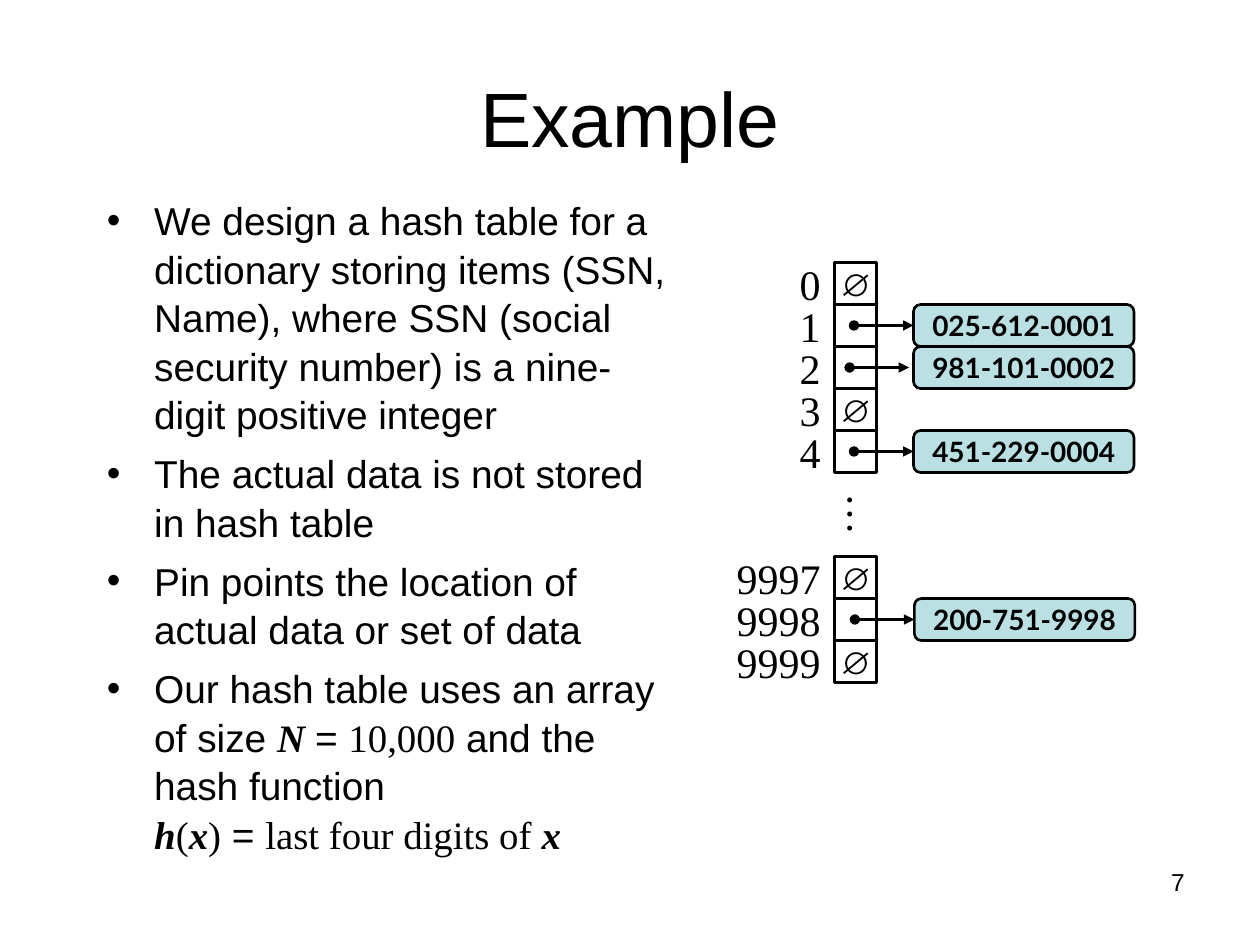
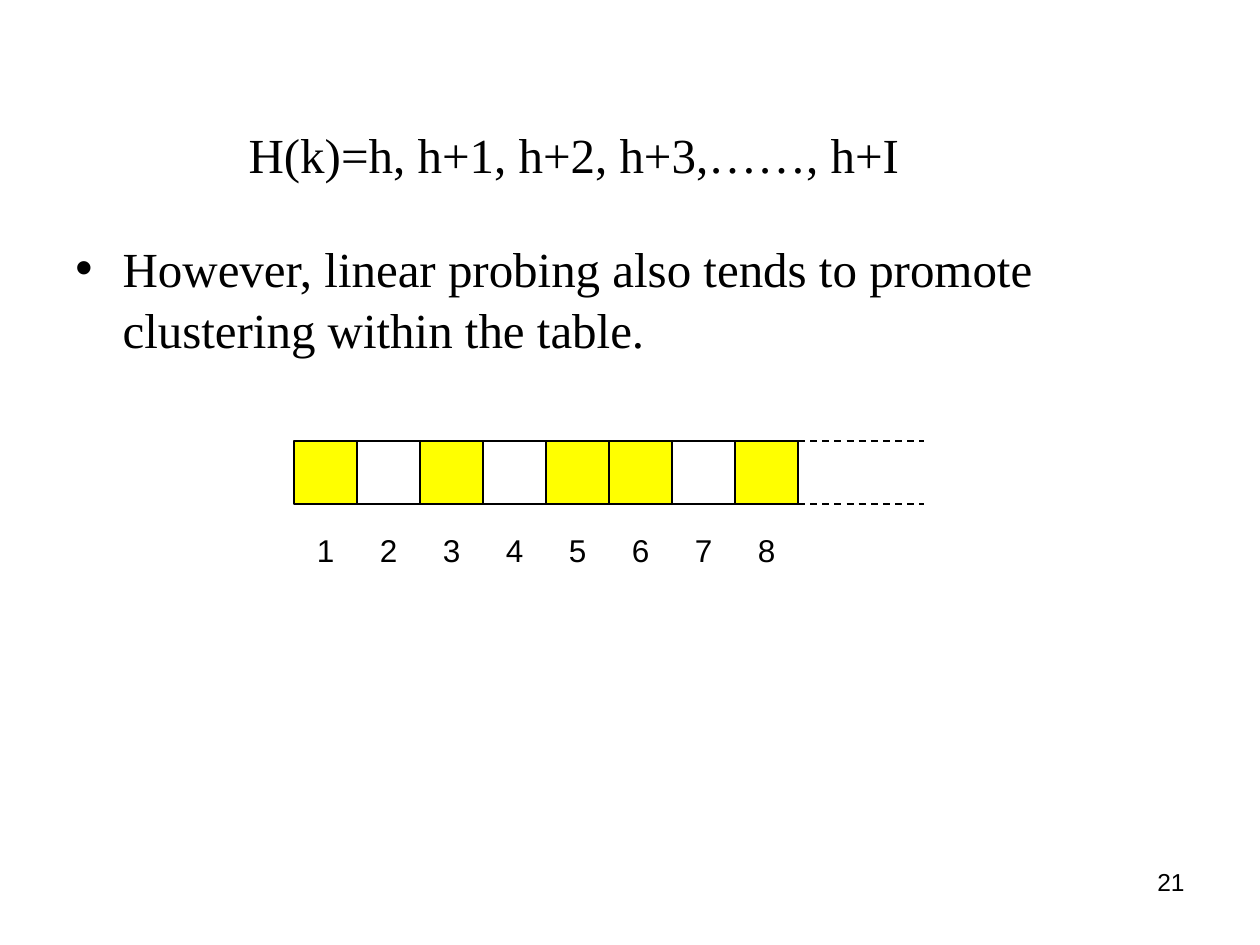
from lxml.etree import SubElement
from pptx import Presentation
from pptx.dml.color import RGBColor
from pptx.enum.dml import MSO_LINE
from pptx.enum.shapes import MSO_CONNECTOR, MSO_SHAPE as SHAPE
from pptx.enum.text import MSO_ANCHOR as ANCHOR, PP_ALIGN as ALIGN
from pptx.oxml.ns import qn
from pptx.util import Pt

COLORS = {"ink": "000000", "record": "BBE0E3", "used": "FFFF00", "free": "FFFFFF"}
SANS, SERIF = "Arial", "Times New Roman"
TITLE = {"name": SANS, "size": Pt(44)}
NUMBER = {"name": SANS, "size": Pt(14)}
BODY = {"name": SANS, "size": Pt(22.2)}
LARGE_BODY = {"name": SERIF, "size": Pt(28)}
INDEX = {"name": SERIF, "size": Pt(24)}
SYMBOL = {"name": SANS, "size": Pt(18)}
RECORD = {"name": "Lato", "size": Pt(16), "bold": True}
PLAIN = {"name": SERIF}
VARIABLE = {"name": SERIF, "bold": True, "italic": True}
LINE_BREAK = ("\n", {})


def add_box(page, frame, paras, font, align=ALIGN.LEFT, anchor=ANCHOR.TOP,
            kind=None, fill=None, line=1.5, bullets=False):
    """Add a text box or preset shape; each paragraph is a list of (text, format)."""
    frame = [Pt(value) for value in frame]
    if kind is None:
        box = page.shapes.add_textbox(*frame)
    else:
        box = page.shapes.add_shape(kind, *frame)
        box.shadow.inherit = False
        box.line.color.rgb = RGBColor.from_string(COLORS["ink"])
        box.line.width = Pt(line)
        if fill:
            box.fill.solid()
            box.fill.fore_color.rgb = RGBColor.from_string(COLORS[fill])
        else:
            box.fill.background()
    text = box.text_frame
    text.word_wrap = kind is None
    text.vertical_anchor = anchor
    for number, spans in enumerate(paras):
        para = text.paragraphs[0] if number == 0 else text.add_paragraph()
        para.alignment = align
        if bullets:
            para.space_before = Pt(6)
            para.line_spacing = 1.04
            props = para._p.get_or_add_pPr()
            props.set("marL", str(Pt(27)))
            props.set("indent", str(Pt(-27)))
            SubElement(props, qn("a:buFont"), typeface=SANS)
            SubElement(props, qn("a:buChar"), char="•")
        for words, style in spans:
            if words == "\n":
                para.add_line_break()
                continue
            span = para.add_run()
            span.text = words
            span.font.color.rgb = RGBColor.from_string(COLORS["ink"])
            for key, value in {**font, **style}.items():
                setattr(span.font, key, value)
    return box


def add_line(page, start, end, y, width):
    line = page.shapes.add_connector(
        MSO_CONNECTOR.STRAIGHT, Pt(start), Pt(y), Pt(end), Pt(y))
    line.line.color.rgb = RGBColor.from_string(COLORS["ink"])
    line.line.width = Pt(width)
    SubElement(line._element.spPr, qn("a:effectLst"))
    return line


deck = Presentation()
deck.slide_width, deck.slide_height = Pt(720), Pt(540)
example, probing = [deck.slides.add_slide(deck.slide_layouts[6]) for _ in range(2)]

# Page numbers
for page, number in ((example, "7"), (probing, "21")):
    add_box(page, (516, 492, 168, 37), [[(number, {})]], NUMBER, ALIGN.RIGHT)

# Example: title and bullets
add_box(example, (36, 21.6, 648, 90), [[("Example", {})]], TITLE,
        ALIGN.CENTER, ANCHOR.MIDDLE)
points = [
    [("We design a hash table for a dictionary storing items (SSN, Name), "
      "where SSN (social security number) is a nine-digit positive integer", {})],
    [("The actual data is not stored in hash table", {})],
    [("Pin points the location of actual data or set of data", {})],
    [("Our hash table uses an array of size ", {}), ("N ", VARIABLE), ("= ", {}),
     ("10,000", PLAIN), (" and the hash function", {}), LINE_BREAK,
     ("h", VARIABLE), ("(", PLAIN), ("x", VARIABLE), (")", PLAIN), (" = ", {}),
     ("last four digits of ", PLAIN), ("x", VARIABLE)],
]
add_box(example, (54, 108, 342, 384), points, BODY, bullets=True)

# Example: hash table; each slot has a row, an index, a record and an arrow start
CELL, TABLE_LEFT, TABLE_TOP = 24, 477, 150
slots = [
    (0, "0", None, 0), (1, "1", "025-612-0001", 488), (2, "2", "981-101-0002", 485.5),
    (3, "3", None, 0), (4, "4", "451-229-0004", 488),
    (7, "9997", None, 0), (8, "9998", "200-751-9998", 488.5), (9, "9999", None, 0),
]
for row, index, record, arrow_start in slots:
    top = TABLE_TOP + row * CELL
    add_box(example, (406, top - 6, 70, 36), [[(index, {})]], INDEX, ALIGN.RIGHT)
    add_box(example, (TABLE_LEFT, top, CELL, CELL),
            [] if record else [[("∅", {})]], SYMBOL,
            ALIGN.CENTER, ANCHOR.MIDDLE, SHAPE.RECTANGLE)
    if record:
        record_left = 522.5 if index == "9998" else 522
        add_box(example, (record_left, top, 126, CELL), [[(record, {})]], RECORD,
                ALIGN.CENTER, ANCHOR.MIDDLE, SHAPE.ROUNDED_RECTANGLE, "record")
        arrow = add_line(example, arrow_start, arrow_start + 34, top + CELL / 2, 1.5)
        outline = arrow.line._get_or_add_ln()
        SubElement(outline, qn("a:headEnd"), type="oval")
        SubElement(outline, qn("a:tailEnd"), type="triangle")

skipped_rows = add_box(example, (474, 276, 40, 36), [[("…", {})]], INDEX, ALIGN.CENTER)
skipped_rows.rotation = 90

# Probing: formula and bullet
body = add_box(probing, (36, 66, 648, 356), [
    [("H(k)=h, h+1, h+2, h+3,……, h+I", {})],
    [("However, linear probing also tends to promote clustering within the table.", {})],
], LARGE_BODY, bullets=True)
formula, remark = body.text_frame.paragraphs
props = formula._p.pPr
props.set("marL", str(Pt(99)))
props.set("indent", "0")
props.remove(props.find(qn("a:buFont")))
props.remove(props.find(qn("a:buChar")))
SubElement(props, qn("a:buNone"))
remark.space_before = Pt(30.3)

# Probing: row of used and free slots
SLOT, ROW_LEFT, ROW_TOP = 36, 168, 252
USED = {1, 3, 5, 6, 8}
for number in range(1, 9):
    left = ROW_LEFT + (number - 1) * SLOT
    add_box(probing, (left, ROW_TOP, SLOT, SLOT), [], SYMBOL, kind=SHAPE.RECTANGLE,
            fill="used" if number in USED else "free", line=1)
    add_box(probing, (left + 6, 300, SLOT, 29), [[(str(number), {})]], SYMBOL)

# Probing: the table goes on
row_end = ROW_LEFT + 8 * SLOT
for y in (ROW_TOP, ROW_TOP + SLOT):
    edge = add_line(probing, row_end, row_end + 2 * SLOT, y, 1)
    edge.line.dash_style = MSO_LINE.DASH

deck.save("out.pptx")
